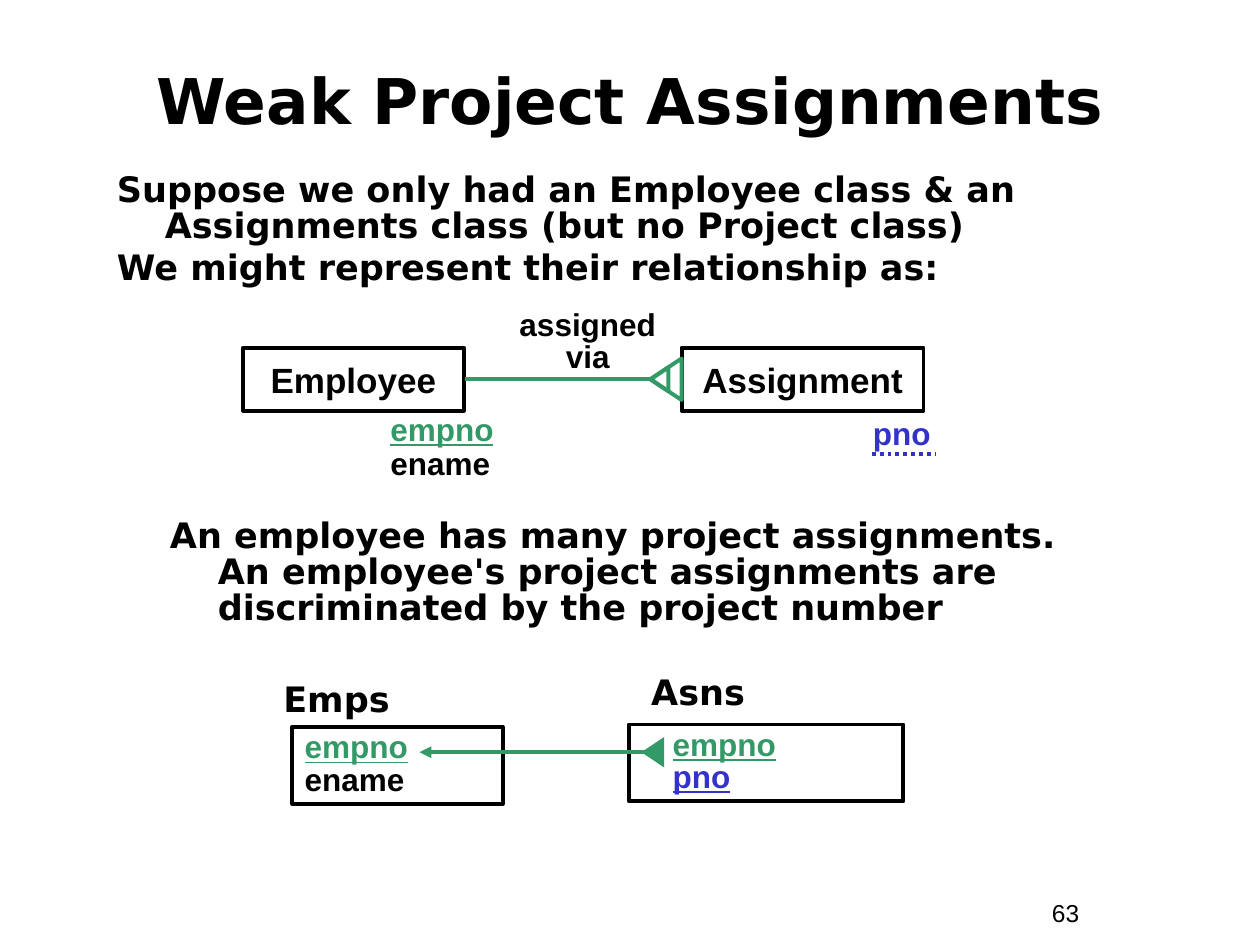
from dataclasses import dataclass

from pptx import Presentation
from pptx import util as u
from pptx.dml.color import RGBColor
from pptx.enum import dml, shapes, text
from pptx.oxml.ns import qn
from lxml import etree

BLACK, GREEN, BLUE = "000000", "339966", "3333CC"
SANS, ARIAL = "DejaVu Sans", "Arial"
LEFT, CENTER = text.PP_ALIGN.LEFT, text.PP_ALIGN.CENTER
TOP, MIDDLE = text.MSO_ANCHOR.TOP, text.MSO_ANCHOR.MIDDLE
COLUMNS, ROWS = 100, 75  # square grid cells, a tenth of an inch each
LINE_WIDTH = 2.25


@dataclass
class Label:
    """A text box or, with a border, a class or table box; lengths in grid cells."""
    left: float
    top: float
    width: float
    height: float
    lines: list[str]
    size: float = 20
    font: str = SANS
    colors: tuple[str, ...] = (BLACK,)  # one per run; the last one repeats
    underlined: int = 0  # number of leading runs that are underlined
    bold: bool = True
    align: text.PP_ALIGN = LEFT
    anchor: text.MSO_ANCHOR = TOP
    spacing: float = 1
    gap: float = 0
    margin: float = 0
    hanging: float = 0
    border: bool = False
    wrap: bool = True


@dataclass
class Line:
    start: float
    end: float
    row: float
    color: str
    kind: shapes.MSO_CONNECTOR = shapes.MSO_CONNECTOR.STRAIGHT
    dotted: bool = False
    arrow: bool = False


@dataclass
class Triangle:
    """A crow's foot pointing left, given by its centre."""
    column: float
    row: float
    base: float
    depth: float
    filled: bool = False


def cells(count: float) -> u.Emu:
    return u.Inches(count / 10)


def rgb(value: str) -> RGBColor:
    return RGBColor.from_string(value)


def set_outline(line, color: str) -> None:
    line.color.rgb = rgb(color)
    line.width = u.Pt(LINE_WIDTH)


def draw_label(page, label: Label) -> None:
    place = [cells(n) for n in (label.left, label.top, label.width, label.height)]
    if label.border:
        box = page.shapes.add_shape(shapes.MSO_SHAPE.RECTANGLE, *place)
        box.shadow.inherit = False
        box.fill.background()
        set_outline(box.line, BLACK)
    else:
        box = page.shapes.add_textbox(*place)
    frame = box.text_frame
    frame.text = "\n".join(label.lines)
    frame.word_wrap = label.wrap
    frame.vertical_anchor = label.anchor
    index = 0
    for number, para in enumerate(frame.paragraphs):
        para.alignment = label.align
        para.line_spacing = label.spacing
        if number:
            para.space_before = u.Pt(label.gap)
        properties = para._p.get_or_add_pPr()
        properties.set("marL", str(cells(label.margin + label.hanging)))
        properties.set("indent", str(-cells(label.hanging)))
        for span in para.runs:
            span.font.name = label.font
            span.font.size = u.Pt(label.size)
            span.font.bold = label.bold
            span.font.underline = index < label.underlined
            span.font.color.rgb = rgb(label.colors[min(index, len(label.colors) - 1)])
            index += 1


def draw_line(page, line: Line) -> None:
    row = cells(line.row)
    connector = page.shapes.add_connector(line.kind, cells(line.start), row, cells(line.end), row)
    set_outline(connector.line, line.color)
    if line.dotted:
        connector.line.dash_style = dml.MSO_LINE.ROUND_DOT
    if line.arrow:
        etree.SubElement(connector.line._get_or_add_ln(), qn("a:tailEnd"), type="triangle")
    etree.SubElement(connector._element.spPr, qn("a:effectLst"))


def draw_triangle(page, triangle: Triangle) -> None:
    shape = page.shapes.add_shape(
        shapes.MSO_SHAPE.ISOSCELES_TRIANGLE,
        cells(triangle.column - triangle.base / 2), cells(triangle.row - triangle.depth / 2),
        cells(triangle.base), cells(triangle.depth))
    shape.rotation = 270
    shape.shadow.inherit = False
    if triangle.filled:
        shape.fill.solid()
        shape.fill.fore_color.rgb = rgb(GREEN)
        shape.line.fill.background()
    else:
        shape.fill.background()
        set_outline(shape.line, GREEN)


PARTS = [
    # Page number, title and introduction
    Label(82.5, 70.8, 9.2, 3.4, ["63"], 14, ARIAL, bold=False),
    Label(3.3, 3.3, 93.4, 9.2, ["Weak Project Assignments"], 36, align=CENTER, anchor=MIDDLE),
    Label(8.3, 13.3, 85, 10.8,
          ["Suppose we only had an Employee class & an Assignments class (but no Project class)",
           "We might represent their relationship as:"],
          spacing=0.85, gap=3.7, hanging=3.8),
    # Class diagram
    *(Label(left, 27.6, width, 5, [name], font=ARIAL, align=CENTER, anchor=MIDDLE,
            border=True, wrap=False)
      for left, width, name in ((19.3, 17.5, "Employee"), (54.1, 19.2, "Assignment"))),
    Line(36.9, 51.6, 30.1, GREEN),
    Label(40, 24.2, 13.3, 6.1, ["assigned via"], 18, ARIAL, align=CENTER, spacing=0.85),
    Triangle(52.85, 30.1, 3.3, 2.5),
    Triangle(52.35, 30.1, 1.9, 1.4),
    Label(30, 32.4, 15, 6.4, ["empno", "ename"], 18, ARIAL, (GREEN, BLACK), 1, spacing=0.9),
    Label(68.3, 32.7, 8.3, 3.7, ["pno"], 18, ARIAL, (BLUE,), spacing=0.9),
    Line(69.2, 74.2, 36, BLUE, dotted=True),
    # Explanation
    Label(12.5, 40.8, 75.8, 9.5,
          ["An employee has many project assignments.\vAn employee's project assignments are "
           "discriminated by the project number"],
          spacing=0.85, hanging=3.8),
    # Tables and foreign key
    Label(50.7, 52.7, 25.1, 4.4, ["Asns"]),
    Label(49.9, 57.5, 21.8, 6.1, ["empno", "pno"], 18, ARIAL, (GREEN, BLUE), 2,
          spacing=0.85, margin=2.5, border=True),
    Label(21.5, 53.3, 21.5, 4.4, ["Emps"]),
    Label(23.2, 57.7, 16.7, 6.1, ["empno\vename"], 18, ARIAL, (GREEN, BLACK), 1,
          spacing=0.85, border=True),
    Line(52.4, 33.3, 59.7, GREEN, shapes.MSO_CONNECTOR.ELBOW, arrow=True),
    Triangle(51.8, 59.7, 2.4, 1.8, filled=True),
]
DRAW = {Label: draw_label, Line: draw_line, Triangle: draw_triangle}


def main() -> None:
    deck = Presentation()
    deck.slide_width, deck.slide_height = cells(COLUMNS), cells(ROWS)
    page = deck.slides.add_slide(deck.slide_layouts[6])
    for part in PARTS:
        DRAW[type(part)](page, part)
    deck.save("out.pptx")


if __name__ == "__main__":
    main()
